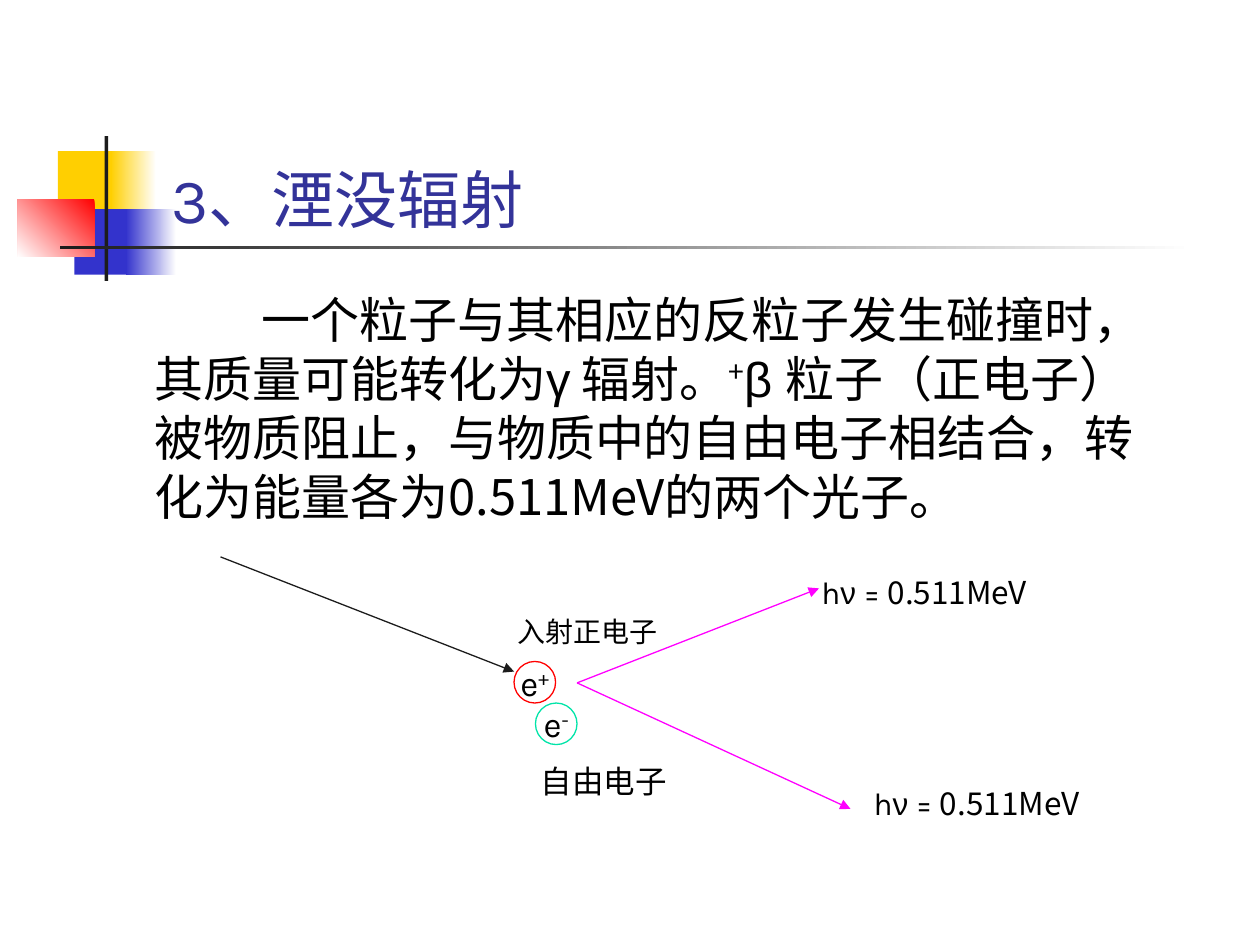
from dataclasses import dataclass
from typing import NamedTuple, Optional

from lxml import etree
from pptx import Presentation
from pptx import util as u
from pptx.dml.color import RGBColor
from pptx.enum import shapes, text
from pptx.oxml import ns

BLACK = RGBColor(0x00, 0x00, 0x00)
WHITE = RGBColor(0xFF, 0xFF, 0xFF)
INK = RGBColor(0x1C, 0x1C, 0x1C)
YELLOW = RGBColor(0xFF, 0xCF, 0x01)
BLUE = RGBColor(0x33, 0x33, 0xCC)
TITLE_BLUE = RGBColor(0x33, 0x33, 0x99)
RED = RGBColor(0xFF, 0x00, 0x00)
GREEN = RGBColor(0x00, 0xE4, 0xA8)
MAGENTA = RGBColor(0xFF, 0x00, 0xFF)

KARLA, ARIAL, CJK = "Karla", "Arial", "Noto Sans CJK SC"


class Span(NamedTuple):
    words: str
    font: str = KARLA
    raised: bool = False


@dataclass
class Block:
    left: float
    top: float
    width: float
    height: float
    color: RGBColor
    fade_to: Optional[RGBColor] = None
    angle: int = 180


@dataclass
class Label:
    left: float
    top: float
    width: float
    height: float
    size: int
    spans: list[Span]


@dataclass
class Particle:
    left: float
    top: float
    color: RGBColor
    charge: str


@dataclass
class Arrow:
    start: tuple[float, float]
    end: tuple[float, float]
    color: RGBColor


PHOTON = [Span("h"), Span("ν", ARIAL), Span(" = "), Span("0.511MeV", CJK)]

BLOCKS = [
    Block(0.46, 1.2, 0.48, 0.52, YELLOW),
    Block(0.88, 1.2, 0.36, 0.52, WHITE, YELLOW),
    Block(0.59, 1.66, 0.46, 0.52, BLUE),
    Block(1, 1.66, 0.4, 0.52, WHITE, BLUE),
    Block(0.14, 1.58, 0.61, 0.46, RED, WHITE, 225),
    Block(0.83, 1.08, 0.03, 1.15, INK),
    Block(0.48, 1.95, 9, 0.03, WHITE, INK),
]
TITLE = Label(1.26, 0.67, 8.52, 1.25, 36, [Span("3、湮没辐射")])
BODY = Label(0.75, 2.25, 8.5, 4.5, 28, [
    Span("一个粒子与其相应的反粒子发生碰撞时，其质量可能转化为", CJK),
    Span("γ", ARIAL),
    Span(" 辐射。", CJK),
    Span("+", CJK, True),
    Span("β ", ARIAL),
    Span("粒子（正电子）被物质阻止，与物质中的自由电子相结合，"
         "转化为能量各为0.511MeV的两个光子。", CJK),
])
LABELS = [
    Label(4, 4.83, 1.33, 0.37, 16, [Span("入射正电子")]),
    Label(4, 6, 1.58, 0.4, 18, [Span("自由电子")]),
    Label(6.25, 4.5, 2.17, 0.4, 18, PHOTON),
    Label(6.75, 6.17, 2, 0.4, 18, PHOTON),
]
PARTICLES = [Particle(4.25, 5.58, GREEN, "-"), Particle(4.08, 5.25, RED, "+")]
ARROWS = [
    Arrow((1.75, 4.42), (4.08, 5.33), INK),
    Arrow((4.58, 5.42), (6.5, 4.67), MAGENTA),
    Arrow((4.58, 5.42), (6.75, 6.42), MAGENTA),
]


def add_spans(para, spans: list[Span], size: int, color: RGBColor = BLACK) -> None:
    for span in spans:
        run = para.add_run()
        run.text = span.words
        run.font.size = u.Pt(size)
        run.font.color.rgb = color
        run.font.name = span.font
        props = run.font._element
        etree.SubElement(props, ns.qn("a:ea"), typeface=CJK)
        if span.raised:
            props.set("baseline", "30000")


def add_block(page, block: Block) -> None:
    shape = page.shapes.add_shape(
        shapes.MSO_SHAPE.RECTANGLE, u.Inches(block.left), u.Inches(block.top),
        u.Inches(block.width), u.Inches(block.height))
    shape.shadow.inherit = False
    shape.line.fill.background()
    if block.fade_to is None:
        shape.fill.solid()
        shape.fill.fore_color.rgb = block.color
        return
    shape.fill.gradient()
    shape.fill.gradient_angle = block.angle
    for stop, color in zip(shape.fill.gradient_stops, (block.color, block.fade_to)):
        stop.color.rgb = color


def add_label(page, label: Label, color: RGBColor = BLACK):
    box = page.shapes.add_textbox(
        u.Inches(label.left), u.Inches(label.top),
        u.Inches(label.width), u.Inches(label.height))
    box.text_frame.word_wrap = True
    add_spans(box.text_frame.paragraphs[0], label.spans, label.size, color)
    return box.text_frame


def add_particle(page, particle: Particle) -> None:
    circle = page.shapes.add_shape(
        shapes.MSO_SHAPE.OVAL, u.Inches(particle.left), u.Inches(particle.top),
        u.Inches(0.33), u.Inches(0.33))
    circle.shadow.inherit = False
    circle.fill.background()
    circle.line.color.rgb = particle.color
    circle.line.width = u.Pt(0.75)
    frame = circle.text_frame
    frame.word_wrap = False
    frame.vertical_anchor = text.MSO_ANCHOR.MIDDLE
    para = frame.paragraphs[0]
    para.alignment = text.PP_ALIGN.CENTER
    add_spans(para, [Span("e"), Span(particle.charge, raised=True)], 20)


def add_arrow(page, arrow: Arrow) -> None:
    line = page.shapes.add_connector(
        shapes.MSO_CONNECTOR.STRAIGHT,
        *(u.Inches(value) for value in arrow.start + arrow.end))
    line.line.color.rgb = arrow.color
    line.line.width = u.Pt(0.75)
    etree.SubElement(line.line._get_or_add_ln(), ns.qn("a:tailEnd"), type="triangle")
    etree.SubElement(line._element.spPr, ns.qn("a:effectLst"))


def main() -> None:
    deck = Presentation()
    deck.slide_width, deck.slide_height = u.Inches(10), u.Inches(7.5)
    page = deck.slides.add_slide(deck.slide_layouts[6])

    # Corner ornament and title rule
    for block in BLOCKS:
        add_block(page, block)

    # Title and explanation
    add_label(page, TITLE, TITLE_BLUE).vertical_anchor = text.MSO_ANCHOR.BOTTOM
    body = add_label(page, BODY).paragraphs[0]
    props = body._element.get_or_add_pPr()
    props.set("marL", str(u.Inches(0.38)))
    props.set("indent", str(u.Inches(0.85)))

    # Annihilation diagram
    for particle in PARTICLES:
        add_particle(page, particle)
    for arrow in ARROWS:
        add_arrow(page, arrow)
    for label in LABELS:
        frame = add_label(page, label)
        frame.auto_size = text.MSO_AUTO_SIZE.SHAPE_TO_FIT_TEXT
        frame.paragraphs[0].alignment = text.PP_ALIGN.CENTER

    deck.save("out.pptx")


if __name__ == "__main__":
    main()
